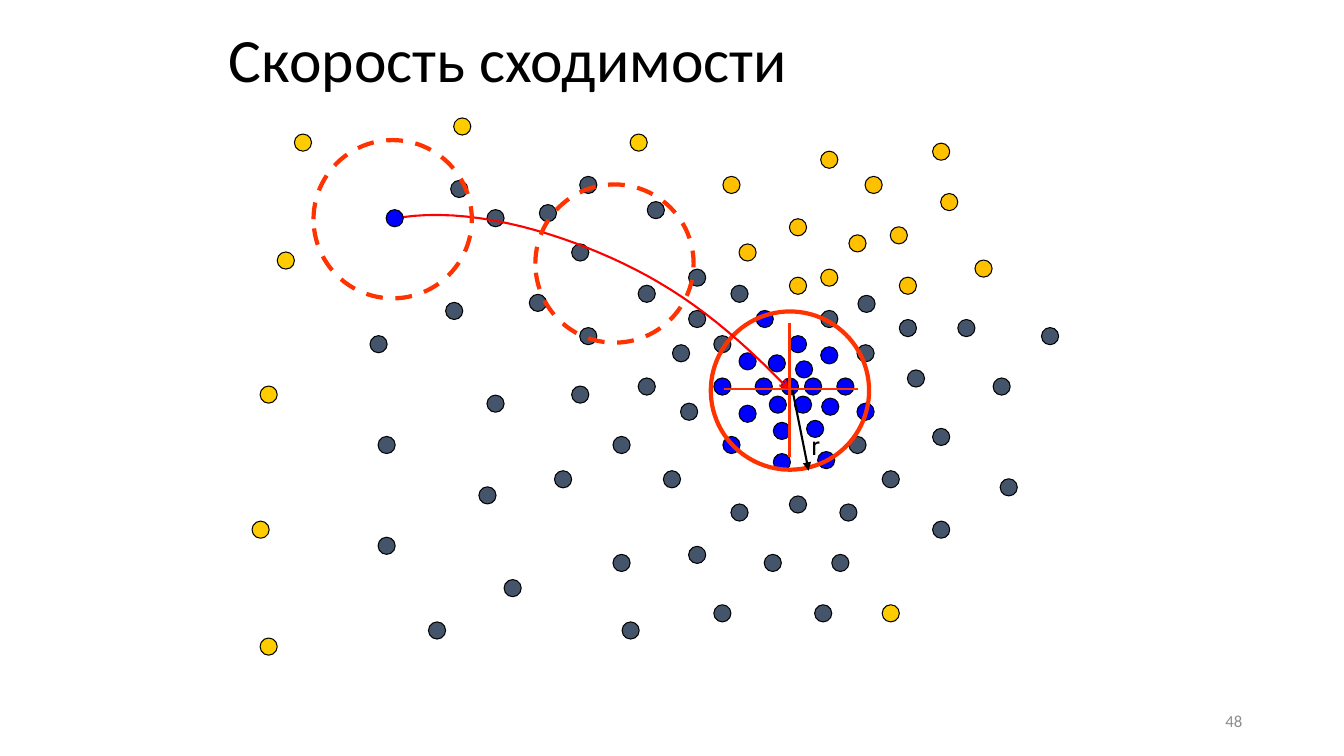
import pptx
import pptx.dml.color
import pptx.enum.dml
import pptx.enum.shapes
import pptx.enum.text
import pptx.oxml.ns
import pptx.util
from lxml import etree
from pptx.dml.color import RGBColor
from pptx.util import Inches

BLACK = RGBColor(0x00, 0x00, 0x00)
BLUE = RGBColor(0x00, 0x00, 0xFF)
SLATE = RGBColor(0x44, 0x54, 0x6A)
AMBER = RGBColor(0xFF, 0xC0, 0x00)
YELLOW = RGBColor(0xFF, 0xCC, 0x00)
ORANGE = RGBColor(0xFF, 0x33, 0x00)
RED = RGBColor(0xFF, 0x00, 0x00)
GRAY = RGBColor(0x8C, 0x8C, 0x8C)

DOT_SIZE = 0.17
WINDOW_SIZE = 1.57
START_DOT = (3.83, 2.08)
DOTS = {
    BLUE: [
        (7.75, 3.75), (7.98, 3.75), (7.89, 3.58), (7.62, 3.52), (7.88, 3.93),
        (7.63, 3.93), (8.15, 3.95), (7.49, 3.75), (8.3, 3.75), (8.14, 3.44),
        (7.83, 3.33), (8, 4.17), (7.67, 4.19), (7.33, 4.02), (7.08, 3.75),
        (7.33, 3.5), (8.5, 4), (8.11, 4.48), (7.67, 4.5), (7.17, 4.33),
        (7.5, 3.08),
    ],
    SLATE: [
        (8.42, 4.33), (6.75, 4), (6.67, 3.42), (7.08, 3.33), (8.14, 3.08),
        (6.83, 3.08), (7.25, 2.83), (8.51, 2.93), (8.5, 3.42), (8.92, 3.17),
        (9, 3.67), (9.5, 3.17), (10.33, 3.25), (9.25, 4.25), (9.85, 3.75),
        (8.75, 4.67), (9.92, 4.75), (9.25, 5.17), (8.33, 5), (7.83, 4.92),
        (8.25, 5.5), (8.08, 6), (7.58, 5.5), (7.25, 5), (6.58, 4.67),
        (6.83, 5.42), (7.08, 6), (6.17, 6.17), (6.08, 5.5), (5.5, 4.67),
        (6.08, 4.33), (6.33, 3.75), (5.75, 3.25), (6.33, 2.83), (6.83, 2.67),
        (6.42, 2), (5.75, 1.75), (5.67, 2.42), (5.25, 2.92), (5.67, 3.83),
        (4.83, 3.92), (4.75, 4.83), (5, 5.75), (4.25, 6.17), (3.75, 5.33),
        (3.75, 4.33), (4.42, 3), (4.83, 2.08), (3.67, 3.33), (4.47, 1.79),
        (5.35, 2.03),
    ],
    AMBER: [
        (7.83, 2.75), (7.83, 2.17), (7.33, 2.42), (8.14, 2.67), (8.14, 1.5),
        (8.42, 2.33), (8.92, 2.75), (8.83, 2.25), (8.58, 1.75), (9.25, 1.42),
        (9.33, 1.92), (9.67, 2.58), (7.17, 1.75),
    ],
    YELLOW: [
        (8.75, 6), (6.25, 1.33), (2.5, 5.17), (2.58, 6.33), (2.58, 3.83),
        (2.75, 2.5), (2.92, 1.33), (4.5, 1.17),
    ],
}
TRAJECTORY = [
    ((3.85, 2.18), (4.5, 2.04), (5.29, 2.23), (5.95, 2.51)),
    ((5.95, 2.51), (6.61, 2.79), (7.15, 3.16), (7.82, 3.86)),
]
CURVE_STEPS = 16


def set_line(shape, color, width, arrow=None):
    """Colour an outline and give its end an optional arrowhead."""
    shape.line.color.rgb = color
    shape.line.width = pptx.util.Pt(width)
    if arrow:
        properties = shape.line._get_or_add_ln()
        etree.SubElement(properties, pptx.oxml.ns.qn("a:tailEnd"), type=arrow)


def add_circle(slide, left, top, size, line_color, width, fill=None, dashed=False):
    """Add a filled or hollow circle."""
    shape = slide.shapes.add_shape(
        pptx.enum.shapes.MSO_SHAPE.OVAL,
        Inches(left), Inches(top), Inches(size), Inches(size),
    )
    shape.shadow.inherit = False
    if fill is None:
        shape.fill.background()
    else:
        shape.fill.solid()
        shape.fill.fore_color.rgb = fill
    set_line(shape, line_color, width)
    if dashed:
        shape.line.dash_style = pptx.enum.dml.MSO_LINE.DASH


def add_dot(slide, position, color):
    """Add one data point."""
    add_circle(slide, *position, DOT_SIZE, BLACK, 0.75, fill=color)


def add_line(slide, start, end, color, arrow=None):
    """Add a straight line with an optional arrowhead."""
    connector = slide.shapes.add_connector(
        pptx.enum.shapes.MSO_CONNECTOR.STRAIGHT,
        *(Inches(value) for value in start + end),
    )
    set_line(connector, color, 1.5, arrow)
    etree.SubElement(connector._element.spPr, pptx.oxml.ns.qn("a:effectLst"))


def bezier_point(controls, t):
    """Return the point of a cubic curve at parameter t."""
    weights = ((1 - t) ** 3, 3 * t * (1 - t) ** 2, 3 * t ** 2 * (1 - t), t ** 3)
    return tuple(
        Inches(sum(weight * value for weight, value in zip(weights, values)))
        for values in zip(*controls)
    )


def add_trajectory(slide):
    """Add the curved path of the window centre."""
    points = [
        bezier_point(controls, step / CURVE_STEPS)
        for controls in TRAJECTORY
        for step in range(1, CURVE_STEPS + 1)
    ]
    start = bezier_point(TRAJECTORY[0], 0)
    builder = slide.shapes.build_freeform(*start)
    builder.add_line_segments(points, close=False)
    curve = builder.convert_to_shape()
    curve.shadow.inherit = False
    curve.fill.background()
    set_line(curve, RED, 1.5, "arrow")


def add_text(slide, box, text, font_name, size, color, align="LEFT",
             anchor="MIDDLE", wrap=True, spacing=1.0):
    """Add a one-paragraph text box."""
    text_box = slide.shapes.add_textbox(*(Inches(value) for value in box))
    text_frame = text_box.text_frame
    text_frame.word_wrap = wrap
    text_frame.vertical_anchor = getattr(pptx.enum.text.MSO_ANCHOR, anchor)
    text_frame.text = text
    paragraph = text_frame.paragraphs[0]
    paragraph.alignment = getattr(pptx.enum.text.PP_ALIGN, align)
    paragraph.line_spacing = spacing
    font = paragraph.runs[0].font
    font.name = font_name
    font.size = pptx.util.Pt(size)
    font.color.rgb = color


def main():
    """Build the convergence slide."""
    presentation = pptx.Presentation()
    presentation.slide_width = Inches(13.33)
    presentation.slide_height = Inches(7.5)
    slide = presentation.slides.add_slide(presentation.slide_layouts[6])

    for color, positions in DOTS.items():
        for position in positions:
            add_dot(slide, position, color)

    add_line(slide, (7.83, 3.2), (7.83, 4.53), ORANGE)
    add_line(slide, (7.18, 3.86), (8.51, 3.86), ORANGE)
    add_text(slide, (2.17, 0, 9, 1.25), "Скорость сходимости", "Calibri", 44,
             BLACK, spacing=0.9)
    add_circle(slide, 7.05, 3.09, WINDOW_SIZE, ORANGE, 3)
    add_trajectory(slide)
    for left, top in ((3.11, 1.39), (5.31, 1.83)):
        add_circle(slide, left, top, WINDOW_SIZE, ORANGE, 3, dashed=True)
    add_line(slide, (7.86, 3.87), (8.02, 4.67), BLACK, "triangle")
    add_text(slide, (7.95, 4.22, 0.29, 0.4), "r", "Roboto", 18, BLACK,
             anchor="TOP", wrap=False)
    add_dot(slide, START_DOT, BLUE)
    add_text(slide, (9.42, 6.95, 3, 0.4), "48", "Calibri", 12, GRAY, align="RIGHT")

    presentation.save("out.pptx")


if __name__ == "__main__":
    main()
